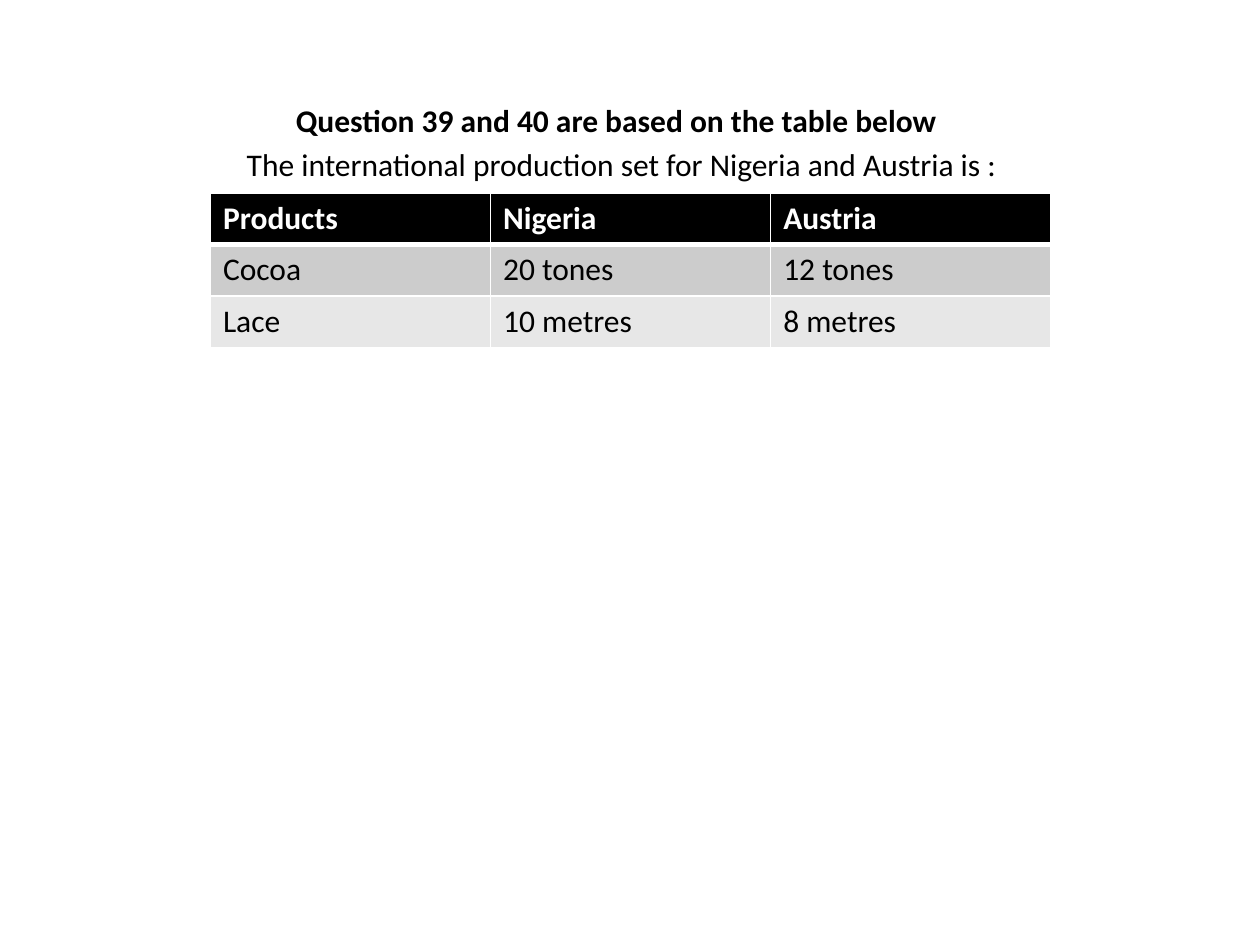
from lxml import etree
from pptx import Presentation
from pptx.dml.color import RGBColor
from pptx.oxml.ns import qn
from pptx.util import Inches, Pt

HEADINGS = [
    # text, left, top, width, bold
    ("Question 39 and 40 are based on the table below", 2.25, 0.75, 5.46, True),
    ("The international production set for Nigeria and Austria is :", 1.86, 1.1, 6.23, False),
]
PRODUCTION = [
    ("Products", "Nigeria", "Austria"),
    ("Cocoa", "20 tones", "12 tones"),
    ("Lace", "10 metres", "8 metres"),
]
TABLE_LEFT, TABLE_TOP, TABLE_WIDTH = 1.67, 1.53, 6.67
ROW_HEIGHT = 0.41
HEADING_HEIGHT = 0.4

THEME = {
    "font": "Calibri",
    "size": 18,
    "text": "000000",
    "header_text": "FFFFFF",
    "row_fills": ("000000", "CCCCCC", "E7E7E7"),
    "border": "FFFFFF",
    "border_width": 1,
    "header_rule_width": 3,
}


def write_text(text_frame, text, color=THEME["text"], bold=False):
    paragraph = text_frame.paragraphs[0]
    run = paragraph.add_run()
    run.text = text
    run.font.name = THEME["font"]
    run.font.size = Pt(THEME["size"])
    run.font.bold = bold
    run.font.color.rgb = RGBColor.from_string(color)


def set_borders(cell, widths):
    """Draw cell edges; widths maps L, R, T and B to points."""
    properties = cell._tc.get_or_add_tcPr()
    for position, side in enumerate("LRTB"):
        line = etree.Element(qn(f"a:ln{side}"), w=str(Pt(widths[side])))
        fill = etree.SubElement(line, qn("a:solidFill"))
        etree.SubElement(fill, qn("a:srgbClr"), val=THEME["border"])
        properties.insert(position, line)


def add_heading(slide, text, left, top, width, bold):
    box = slide.shapes.add_textbox(
        Inches(left), Inches(top), Inches(width), Inches(HEADING_HEIGHT))
    box.text_frame.word_wrap = True
    write_text(box.text_frame, text, bold=bold)


def add_production_table(slide):
    row_count, column_count = len(PRODUCTION), len(PRODUCTION[0])
    table = slide.shapes.add_table(
        row_count, column_count, Inches(TABLE_LEFT), Inches(TABLE_TOP),
        Inches(TABLE_WIDTH), Inches(ROW_HEIGHT * row_count)).table
    for row_index, values in enumerate(PRODUCTION):
        is_header = row_index == 0
        widths = dict.fromkeys("LRTB", THEME["border_width"])
        if is_header:
            widths["B"] = THEME["header_rule_width"]
        elif row_index == 1:
            widths["T"] = THEME["header_rule_width"]
        for column_index, value in enumerate(values):
            cell = table.cell(row_index, column_index)
            cell.fill.solid()
            cell.fill.fore_color.rgb = RGBColor.from_string(THEME["row_fills"][row_index])
            set_borders(cell, widths)
            write_text(cell.text_frame, value, bold=is_header,
                       color=THEME["header_text" if is_header else "text"])


def main():
    presentation = Presentation()
    presentation.slide_width, presentation.slide_height = Inches(10), Inches(7.5)
    slide = presentation.slides.add_slide(presentation.slide_layouts[6])
    add_production_table(slide)
    for heading in HEADINGS:
        add_heading(slide, *heading)
    presentation.save("out.pptx")


if __name__ == "__main__":
    main()
